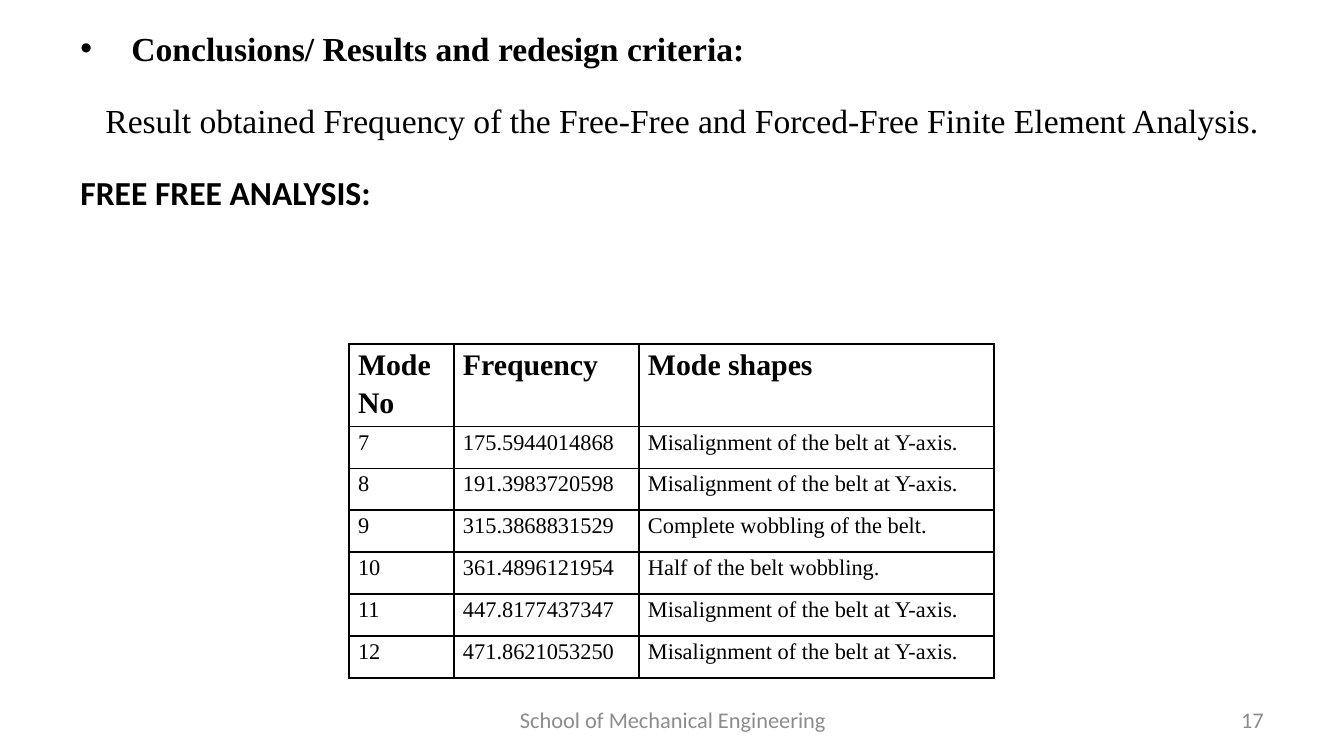
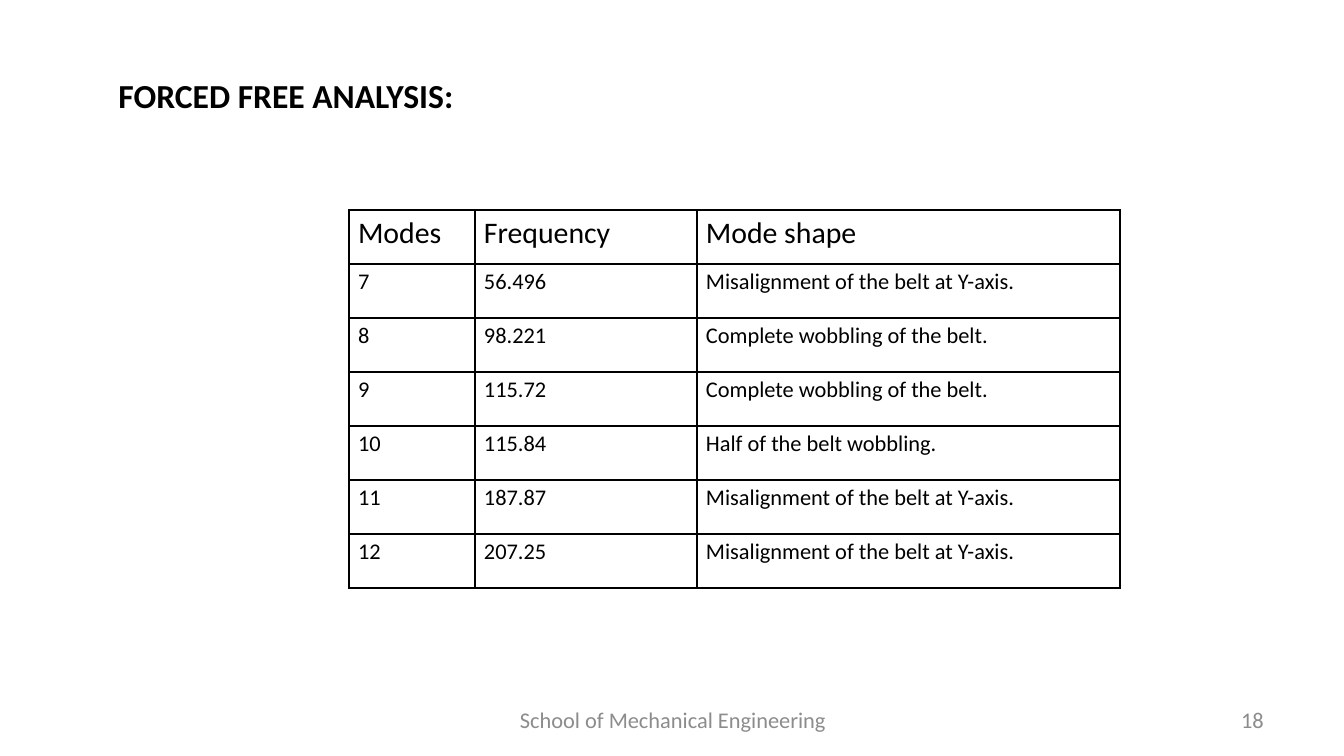
from pptx import Presentation
from pptx import util as u
from pptx.dml.color import RGBColor
from pptx.enum import text as t
from pptx.oxml import parse_xml
from pptx.oxml import ns

SCALE = 914400 / 134.4
BLACK = RGBColor(0, 0, 0)
GREY = RGBColor(0x8C, 0x8C, 0x8C)
WHITE = RGBColor(255, 255, 255)
SERIF = "Times New Roman"
SANS = "Calibri"
SCHOOL = "School of Mechanical Engineering"
SKEWED = "Misalignment of the belt at Y-axis."
WOBBLE = "Complete wobbling of the belt."
HALF = "Half of the belt wobbling."
SHAPES = [SKEWED, SKEWED, WOBBLE, HALF, SKEWED, SKEWED]
FORCED = [SKEWED, WOBBLE, WOBBLE, HALF, SKEWED, SKEWED]
MODES = range(7, 13)
FREE_HZ = ["175.5944014868", "191.3983720598", "315.3868831529",
           "361.4896121954", "447.8177437347", "471.8621053250"]
FORCED_HZ = ["56.496", "98.221", "115.72", "115.84", "187.87", "207.25"]


def px(n):
    return u.Emu(round(n * SCALE))


def place(shape, box):
    shape.left, shape.top, shape.width, shape.height = map(px, box)


def style(para, face, size, color=BLACK, bold=False):
    for run in para.runs:
        font = run.font
        font.name, font.size, font.bold = face, u.Pt(size), bold
        font.color.rgb = color


def indent(para, left, first, mark=None):
    props = para._p.get_or_add_pPr()
    props.set("marL", str(px(left)))
    props.set("indent", str(px(first)))
    if mark:
        bullet = f'<a:buChar {ns.nsdecls("a")} char="{mark}"/>'
    else:
        bullet = f'<a:buNone {ns.nsdecls("a")}/>'
    props.append(parse_xml(bullet))


def add_body(slide, box, lines, inset=7, gap=0, pitch=1.0):
    title = slide.shapes.title
    title.element.getparent().remove(title.element)
    body = slide.placeholders[1]
    place(body, box)
    frame = body.text_frame
    frame.auto_size = t.MSO_AUTO_SIZE.NONE
    frame.word_wrap = True
    frame.margin_top = px(inset)
    frame.text = "\n".join(line[0] for line in lines)
    for i, (para, line) in enumerate(zip(frame.paragraphs, lines)):
        words, face, bold, left, first, mark = line
        indent(para, left, first, mark)
        para.space_before = u.Pt(3.6 if i else 0)
        para.space_after = u.Pt(gap)
        para.line_spacing = pitch
        style(para, face, 18, bold=bold)


def add_note(slide, box, words, align):
    note = slide.shapes.add_textbox(*map(px, box))
    frame = note.text_frame
    frame.word_wrap = True
    frame.vertical_anchor = t.MSO_ANCHOR.MIDDLE
    frame.text = words
    para = frame.paragraphs[0]
    para.alignment = align
    style(para, SANS, 12, GREY)


def add_footer(slide, page):
    add_note(slide, (460, 700, 426, 40), SCHOOL, t.PP_ALIGN.CENTER)
    add_note(slide, (964, 700, 313, 40), str(page), t.PP_ALIGN.RIGHT)


def add_edges(cell):
    props = cell._tc.get_or_add_tcPr()
    for i, side in enumerate("LRTB"):
        props.insert(i, parse_xml(
            f'<a:ln{side} {ns.nsdecls("a")} w="{u.Pt(1)}"><a:solidFill>'
            f'<a:srgbClr val="{BLACK}"/></a:solidFill></a:ln{side}>'))


def fill_cell(cell, words, face, size, bold):
    cell.fill.background()
    cell.margin_left = cell.margin_right = px(9)
    cell.margin_top = cell.margin_bottom = 0
    cell.text = words
    para = cell.text_frame.paragraphs[0]
    para.alignment = t.PP_ALIGN.JUSTIFY
    para.line_spacing = 1.15
    para.space_after = u.Pt(10)
    style(para, face, size, bold=bold)
    add_edges(cell)


def add_grid(slide, spot, widths, pitch, rows, face, bold):
    box = (*spot, sum(widths), pitch * len(rows))
    grid = slide.shapes.add_table(
        len(rows), len(widths), *map(px, box)).table
    grid.first_row = grid.horz_banding = False
    for col, width in zip(grid.columns, widths):
        col.width = px(width)
    for r, row in enumerate(rows):
        grid.rows[r].height = px(pitch)
        for c, words in enumerate(row):
            fill_cell(grid.cell(r, c), str(words), face,
                      12 if r else 16, bold and r == 0)


def add_slide(deck, page):
    slide = deck.slides.add_slide(deck.slide_layouts[1])
    slide.background.fill.solid()
    slide.background.fill.fore_color.rgb = WHITE
    add_footer(slide, page)
    return slide


def free_slide(deck):
    slide = add_slide(deck, 17)
    add_body(slide, (67, 15, 1210, 660), [
        ("Conclusions/ Results and redesign criteria:",
         SERIF, True, 51, -51, "•"),
        ("Result obtained Frequency of the Free-Free and Forced-Free "
         "Finite Element Analysis.", SERIF, False, 0, 25, None),
        ("FREE FREE ANALYSIS:", SANS, True, 0, 0, None),
    ], gap=10, pitch=1.15)
    head = ("Mode No", "Frequency", "Mode shapes")
    rows = [head, *zip(MODES, FREE_HZ, SHAPES)]
    add_grid(slide, (349, 344), (105, 185, 355), 42, rows, SERIF, True)


def forced_slide(deck):
    slide = add_slide(deck, 18)
    add_body(slide, (67, 20, 1210, 656), [
        ("FORCED FREE ANALYSIS:", SANS, True, 0, 38, None),
    ], inset=55)
    head = ("Modes", "Frequency", "Mode shape")
    rows = [head, *zip(MODES, FORCED_HZ, FORCED)]
    add_grid(slide, (349, 210), (126, 222, 423), 54, rows, SANS, False)


def main():
    deck = Presentation()
    deck.slide_width, deck.slide_height = px(1344), px(756)
    free_slide(deck)
    forced_slide(deck)
    deck.save("out.pptx")


if __name__ == "__main__":
    main()
